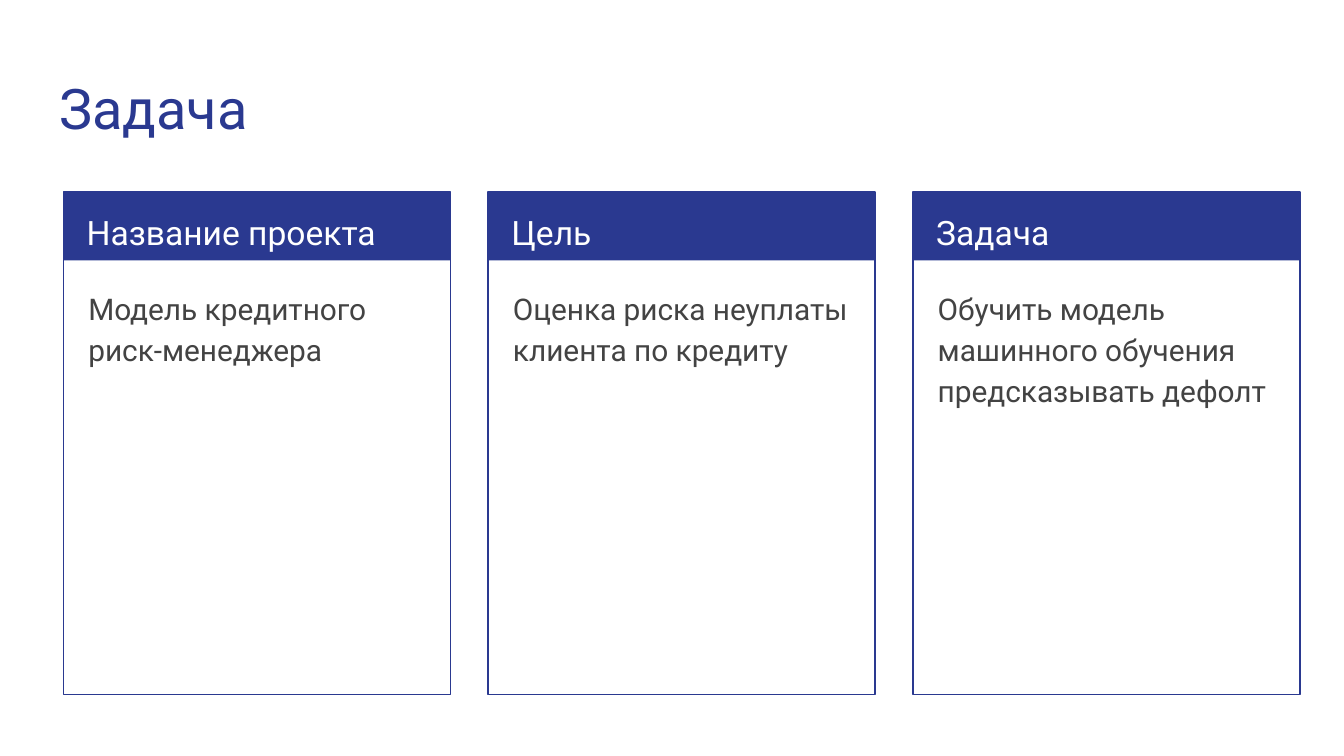
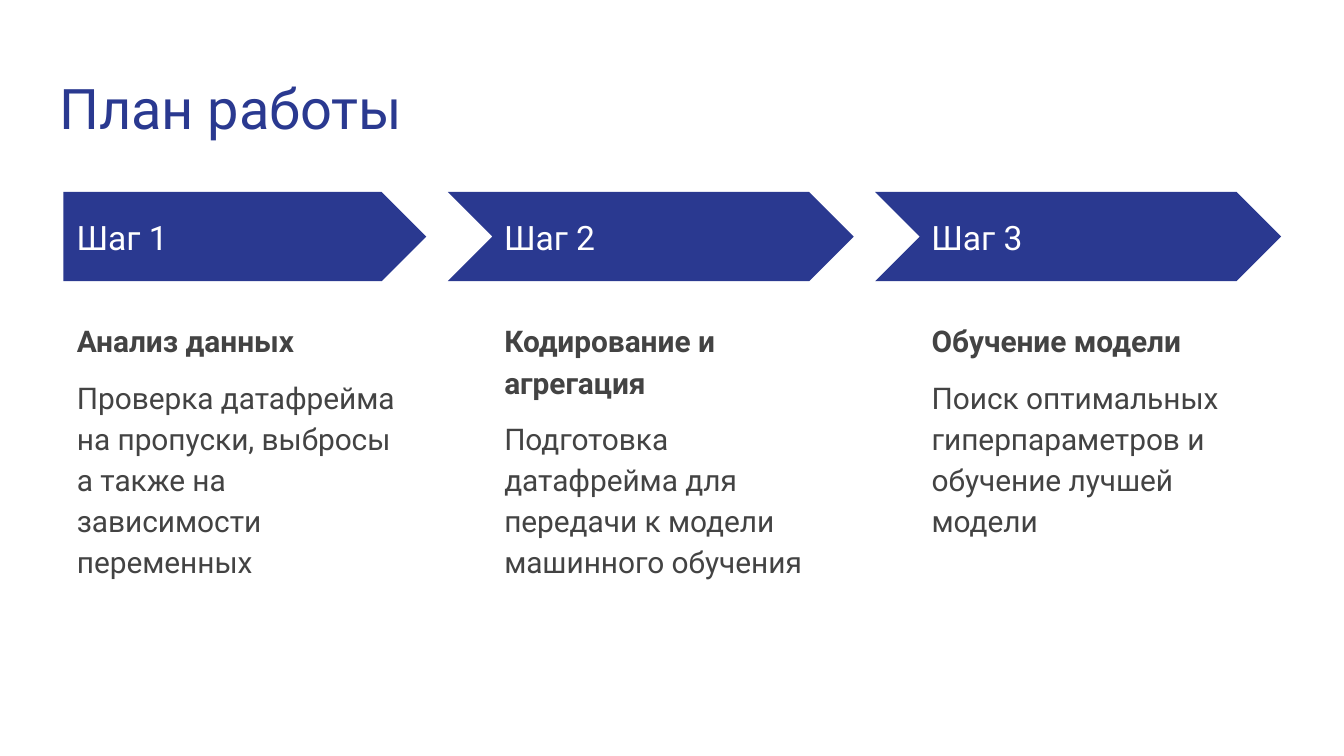
import pptx
import pptx.dml.color
import pptx.enum.shapes
import pptx.enum.text
import pptx.oxml
import pptx.oxml.ns
import pptx.util

NAVY, GRAPHITE, WHITE = "2A3990", "434343", "FFFFFF"
FONT = "Roboto"
SLIDE_WIDTH = pptx.util.Inches(10)
SLIDE_HEIGHT = SLIDE_WIDTH * 9 // 16
COMPARISON_LAYOUT = 4
MARGIN, BAND_TOP = 4.72, 25.4
CARD_PITCH, CARD_WIDTH = 31.6, 28.8
STEP_PITCH, STEP_WIDTH, NOTCH = 31.8, 27, 3.2
SHAPE = pptx.enum.shapes.MSO_SHAPE
ANCHOR = pptx.enum.text.MSO_ANCHOR

CARDS = [
    ("Название проекта", "Модель кредитного риск-менеджера"),
    ("Цель", "Оценка риска неуплаты клиента по кредиту"),
    ("Задача", "Обучить модель машинного обучения предсказывать дефолт"),
]
STEPS = [
    ("Анализ данных",
     "Проверка датафрейма на пропуски, выбросы а также на зависимости переменных"),
    ("Кодирование и агрегация",
     "Подготовка датафрейма для передачи к модели машинного обучения"),
    ("Обучение модели",
     "Поиск оптимальных гиперпараметров и обучение лучшей модели"),
]


def color(hex_string):
    """Turn a hex string into a colour."""
    return pptx.dml.color.RGBColor.from_string(hex_string)


def area(left, top, width, height):
    """Convert percentages of the slide into lengths."""
    return (int(SLIDE_WIDTH * left / 100), int(SLIDE_HEIGHT * top / 100),
            int(SLIDE_WIDTH * width / 100), int(SLIDE_HEIGHT * height / 100))


def put(placeholder, box):
    """Move a placeholder to a box given in percentages."""
    (placeholder.left, placeholder.top,
     placeholder.width, placeholder.height) = area(*box)


def set_frame(frame, anchor=ANCHOR.TOP):
    """Give a text frame the shared wrapping, insets and anchor."""
    frame.word_wrap = True
    frame.auto_size = pptx.enum.text.MSO_AUTO_SIZE.NONE
    frame.vertical_anchor = anchor
    frame.margin_left = frame.margin_right = pptx.util.Inches(0.1)
    frame.margin_top = frame.margin_bottom = pptx.util.Inches(0.1)


def write(paragraph, text, size, ink, bold=False, spacing=1, before=0, after=0):
    """Write one left-aligned paragraph without a bullet."""
    paragraph.text = text
    paragraph.alignment = pptx.enum.text.PP_ALIGN.LEFT
    paragraph.line_spacing = spacing
    paragraph.space_before = pptx.util.Pt(before)
    paragraph.space_after = pptx.util.Pt(after)
    font = paragraph.font
    font.name, font.size, font.bold = FONT, pptx.util.Pt(size), bold
    font.color.rgb = color(ink)
    properties = paragraph._p.get_or_add_pPr()
    properties.set("marL", "0")
    properties.set("indent", "0")
    bullet = pptx.oxml.parse_xml(
        f'<a:buNone {pptx.oxml.ns.nsdecls("a")}/>')
    properties.find(pptx.oxml.ns.qn("a:defRPr")).addprevious(bullet)


def add_outline(shapes, preset, box, fill=None, line=None):
    """Add a flat shape with an optional fill and line."""
    shape = shapes.add_shape(preset, *area(*box))
    shape.shadow.inherit = False
    if fill:
        shape.fill.solid()
        shape.fill.fore_color.rgb = color(fill)
    else:
        shape.fill.background()
    if line:
        shape.line.color.rgb = color(line)
        shape.line.width = pptx.util.Pt(0.75)
    else:
        shape.line.fill.background()


def add_heading(slide, text, box, anchor=ANCHOR.TOP, spacing=1):
    """Add a white heading over a band or arrow."""
    heading = slide.shapes.add_textbox(*area(*box)).text_frame
    set_frame(heading, anchor)
    write(heading.paragraphs[0], text, 18, WHITE, spacing=spacing)


def start_body(slide, index, box):
    """Place the body for a column and return its text frame."""
    body = slide.placeholders[index + 1]
    put(body, box)
    set_frame(body.text_frame)
    return body.text_frame


def add_slide(deck, title_text):
    """Add a titled slide with three body placeholders."""
    slide = deck.slides.add_slide(deck.slide_layouts[COMPARISON_LAYOUT])
    title = slide.shapes.title
    put(title, (3.4, 8, 93.2, 11.73))
    set_frame(title.text_frame)
    write(title.text_frame.paragraphs[0], title_text, 30, NAVY)
    spare = slide.placeholders[4].element
    spare.getparent().remove(spare)
    return slide


def add_card(slide, index, heading, description):
    """Add an outlined card with a filled heading band."""
    left = MARGIN + index * CARD_PITCH
    card = slide.shapes.add_group_shape().shapes
    add_outline(card, SHAPE.RECTANGLE, (left, BAND_TOP, CARD_WIDTH, 9.07), fill=NAVY)
    add_outline(card, SHAPE.RECTANGLE, (left, BAND_TOP, CARD_WIDTH, 66.5), line=NAVY)
    add_heading(slide, heading, (left + 0.75, BAND_TOP, 27.3, 8.9), spacing=1.15)
    body = start_body(slide, index, (left + 0.85, 35.95, 27.1, 54.4))
    write(body.paragraphs[0], description, 16, GRAPHITE, spacing=1.15, after=16)


def add_step(slide, index, name, description):
    """Add a numbered arrow with the step described below it."""
    left = MARGIN + index * STEP_PITCH
    notch = NOTCH if index else 0
    add_outline(slide.shapes, SHAPE.CHEVRON if index else SHAPE.PENTAGON,
                (left - notch, BAND_TOP, STEP_WIDTH + notch, 11.8), fill=NAVY)
    add_heading(slide, f"Шаг {index + 1}", (left, 28.27, 24.7, 6.04), ANCHOR.MIDDLE)
    body = start_body(slide, index, (left, 40.25, STEP_WIDTH, 51.56))
    write(body.paragraphs[0], name, 16, GRAPHITE, bold=True, spacing=1.15)
    write(body.add_paragraph(), description, 16, GRAPHITE,
          spacing=1.15, before=8, after=8)


def main():
    """Build the task and work plan slides."""
    deck = pptx.Presentation()
    deck.slide_width, deck.slide_height = SLIDE_WIDTH, SLIDE_HEIGHT
    for title, add_column, columns in (("Задача", add_card, CARDS),
                                       ("План работы", add_step, STEPS)):
        slide = add_slide(deck, title)
        for index, column in enumerate(columns):
            add_column(slide, index, *column)
    deck.save("out.pptx")


if __name__ == "__main__":
    main()
